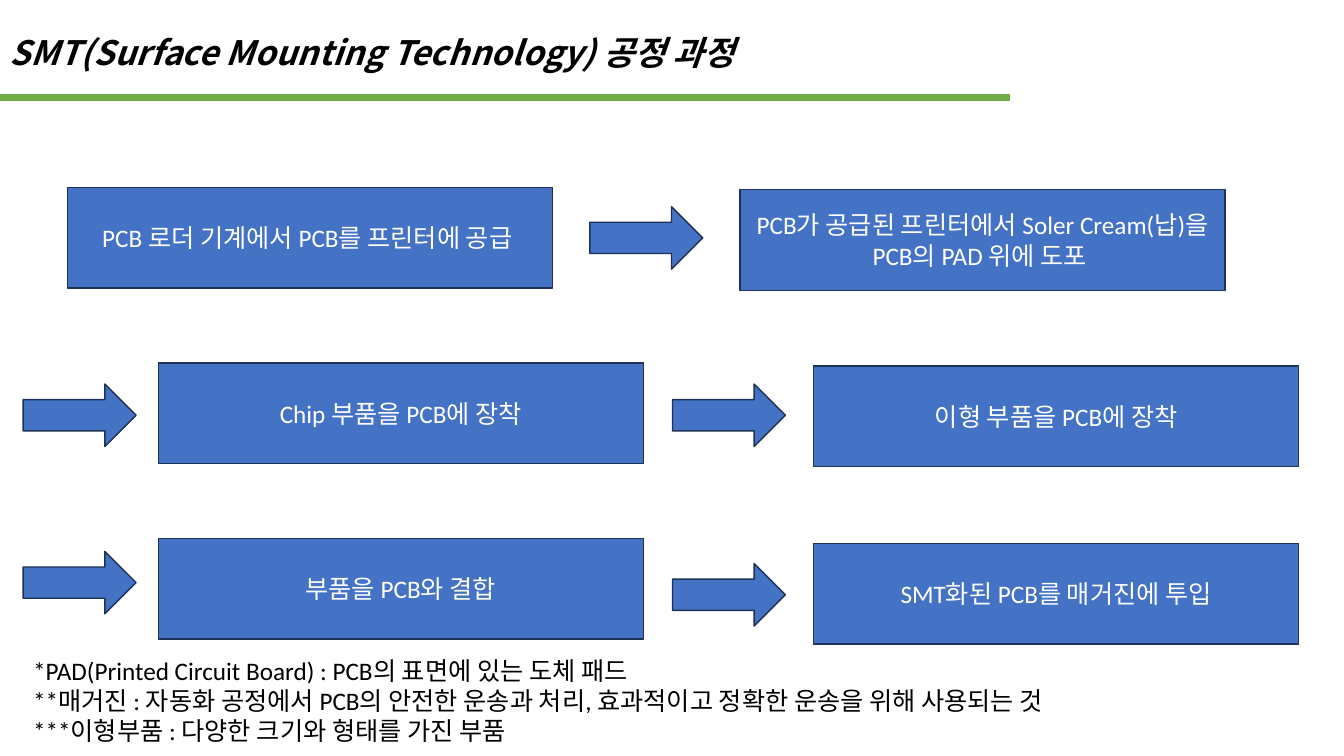
from dataclasses import dataclass

from lxml import etree
from pptx import Presentation
from pptx import util as u
from pptx.dml.color import RGBColor
from pptx.enum import shapes, text
from pptx.oxml import ns

PX = 9144


@dataclass(frozen=True)
class Theme:
    """Colours, fonts and type sizes of the slide."""
    background: str = "FFFFFF"
    ink: str = "000000"
    rule: str = "70AD47"
    step: str = "4472C4"
    outline: str = "1E3256"
    step_text: str = "FFFFFF"
    title_font: str = "Noto Sans CJK KR"
    body_font: str = "Calibri"
    korean_font: str = "Noto Sans CJK KR"
    title_size: int = 24
    body_size: int = 18
    rule_width: float = 4.75
    outline_width: int = 1


THEME = Theme()
STEP_SIZE = (481, 100)
ARROW_SIZE = (112, 62)
STEPS = [
    ((67, 186), "PCB 로더 기계에서 PCB를 프린터에 공급 "),
    ((734, 188), "PCB가 공급된 프린터에서 Soler Cream(납)을 PCB의 PAD 위에 도포 "),
    ((157, 360), "Chip 부품을 PCB에 장착"),
    ((807, 363), "이형 부품을 PCB에 장착"),
    ((157, 534), "부품을 PCB와 결합"),
    ((807, 539), "SMT화된 PCB를 매거진에 투입"),
]
ARROWS = [(585, 205), (23, 381), (667, 381), (23, 547), (667, 559)]
NOTES = [
    "*PAD(Printed Circuit Board) : PCB의 표면에 있는 도체 패드",
    "**매거진 : 자동화 공정에서 PCB의 안전한 운송과 처리, 효과적이고 정확한 운송을 위해 사용되는 것",
    "***이형부품 : 다양한 크기와 형태를 가진 부품",
]


def px(*lengths):
    """Turn px lengths into EMU."""
    return [u.Emu(length * PX) for length in lengths]


def colour(value):
    """Return the colour for a hex value."""
    return RGBColor.from_string(value)


def write(shape, lines, *, size=THEME.body_size, font=THEME.body_font, ink=THEME.ink,
          bold=False, italic=False, align=text.PP_ALIGN.LEFT,
          anchor=text.MSO_ANCHOR.TOP, wrap=True):
    """Write one formatted paragraph for each line into a shape."""
    frame = shape.text_frame
    frame.word_wrap = wrap
    frame.vertical_anchor = anchor
    frame.text = "\n".join(lines)
    for paragraph in frame.paragraphs:
        paragraph.alignment = align
        for run in paragraph.runs:
            run.font.name = font
            run.font.size = u.Pt(size)
            run.font.bold = bold
            run.font.italic = italic
            run.font.color.rgb = colour(ink)
            east_asian = etree.Element(ns.qn("a:ea"), typeface=THEME.korean_font)
            run.font._element.find(ns.qn("a:latin")).addnext(east_asian)


def add_block(slide, kind, box):
    """Add a filled and outlined shape in the given box."""
    shape = slide.shapes.add_shape(kind, *px(*box))
    shape.shadow.inherit = False
    shape.fill.solid()
    shape.fill.fore_color.rgb = colour(THEME.step)
    shape.line.color.rgb = colour(THEME.outline)
    shape.line.width = u.Pt(THEME.outline_width)
    return shape


def add_header(slide, box):
    """Add the title with the green rule beneath it."""
    left, top, width, height = box
    rule_top = top + height
    rule = slide.shapes.add_connector(
        shapes.MSO_CONNECTOR.STRAIGHT, *px(left, rule_top, left + width, rule_top))
    rule.line.color.rgb = colour(THEME.rule)
    rule.line.width = u.Pt(THEME.rule_width)
    etree.SubElement(rule._element.spPr, ns.qn("a:effectLst"))
    title = slide.shapes.add_textbox(*px(left, top, 764, 50))
    write(title, ["SMT(Surface Mounting Technology) 공정 과정"], size=THEME.title_size,
          font=THEME.title_font, bold=True, italic=True)


def add_process(slide, box):
    """Add the process steps and the arrows between them."""
    left, top = box[:2]
    for (x, y), label in STEPS:
        step = add_block(slide, shapes.MSO_SHAPE.RECTANGLE, (left + x, top + y, *STEP_SIZE))
        write(step, [label], ink=THEME.step_text, align=text.PP_ALIGN.CENTER,
              anchor=text.MSO_ANCHOR.MIDDLE)
    for x, y in ARROWS:
        add_block(slide, shapes.MSO_SHAPE.RIGHT_ARROW, (left + x, top + y, *ARROW_SIZE))


def add_notes(slide, box):
    """Add the explanations of terms."""
    notes = slide.shapes.add_textbox(*px(*box))
    write(notes, NOTES, wrap=False)


def main():
    """Build and save the presentation."""
    presentation = Presentation()
    presentation.slide_width, presentation.slide_height = px(1333, 750)
    slide = presentation.slides.add_slide(presentation.slide_layouts[6])
    slide.background.fill.solid()
    slide.background.fill.fore_color.rgb = colour(THEME.background)
    add_header(slide, (0, 27, 1002, 70))
    add_process(slide, (0, 0, 1333, 640))
    add_notes(slide, (23, 645, 1102, 101))
    presentation.save("out.pptx")


if __name__ == "__main__":
    main()
